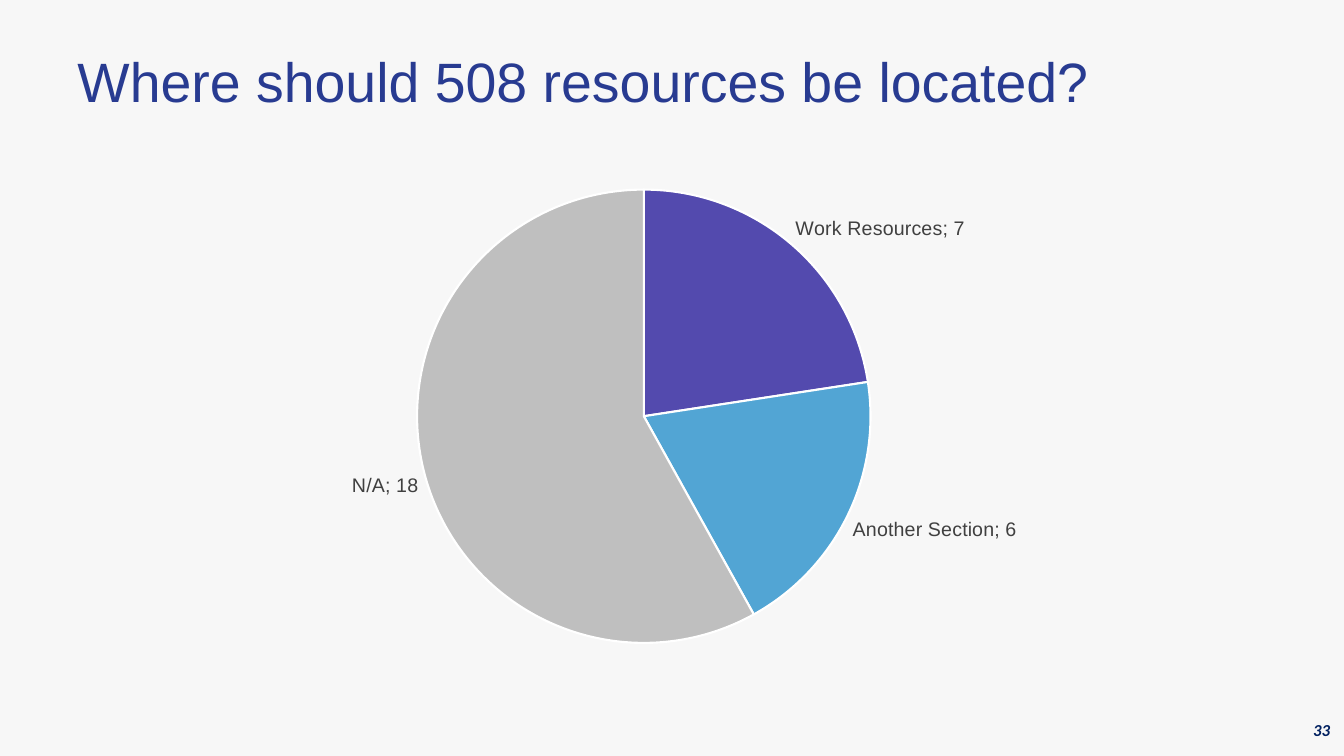
from lxml import etree
from pptx import Presentation
from pptx.chart.data import CategoryChartData
from pptx.dml.color import RGBColor
from pptx.enum.chart import XL_CHART_TYPE, XL_LABEL_POSITION
from pptx.enum.text import MSO_ANCHOR, PP_ALIGN
from pptx.oxml import parse_xml
from pptx.oxml.ns import nsdecls, qn
from pptx.util import Inches, Pt

TITLE = "Where should 508 resources be located?"
PAGE = "33"
BACKGROUND = RGBColor(0xF7, 0xF7, 0xF7)
TITLE_BLUE = RGBColor(0x28, 0x3B, 0x91)
NAVY = RGBColor(0x00, 0x20, 0x60)
LABEL_GRAY = RGBColor(0x40, 0x40, 0x40)
WHITE = RGBColor(0xFF, 0xFF, 0xFF)
ANSWERS = [
    ("Work Resources", 7, RGBColor(0x53, 0x4A, 0xAE)),
    ("Another Section", 6, RGBColor(0x52, 0xA5, 0xD4)),
    ("N/A", 18, RGBColor(0xBF, 0xBF, 0xBF)),
]
CHART_BOX = (2.13, 1.51, 8.65, 5.01)
PIE_BOX = (4.14, 1.88, 4.5, 4.5)


def add_text(s, box, text, font, size, color, anchor, align):
    tf = s.shapes.add_textbox(*map(Inches, box)).text_frame
    tf.word_wrap = True
    tf.vertical_anchor = anchor
    p = tf.paragraphs[0]
    p.text = text
    p.alignment = align
    p.font.name = font
    p.font.size = Pt(size)
    p.font.color.rgb = color
    return p


def place_pie(chart):
    left, top, width, height = CHART_BOX
    x, y, w, h = PIE_BOX
    parts = {"x": (x - left) / width, "y": (y - top) / height,
             "w": w / width, "h": h / height}
    modes = '<c:layoutTarget val="inner"/><c:xMode val="edge"/><c:yMode val="edge"/>'
    sizes = "".join(f'<c:{k} val="{v:.3f}"/>' for k, v in parts.items())
    layout = parse_xml(f'<c:layout {nsdecls("c")}><c:manualLayout>{modes}{sizes}'
                       '</c:manualLayout></c:layout>')
    area = chart.element.find(".//" + qn("c:plotArea"))
    for old in area.findall(qn("c:layout")):
        area.remove(old)
    area.insert(0, layout)


def add_pie(s):
    data = CategoryChartData()
    data.categories = [name for name, _, _ in ANSWERS]
    data.add_series("Series 1", [value for _, value, _ in ANSWERS])
    chart = s.shapes.add_chart(XL_CHART_TYPE.PIE, *map(Inches, CHART_BOX), data).chart
    chart.has_title = False
    chart.has_legend = False
    chart.font.name = "Arial"
    chart.font.size = Pt(14)
    series = chart.plots[0].series[0]
    for i, (_, _, color) in enumerate(ANSWERS):
        fmt = series.points[i].format
        fmt.fill.solid()
        fmt.fill.fore_color.rgb = color
        fmt.line.color.rgb = WHITE
        fmt.line.width = Pt(1.5)
    labels = series.data_labels
    labels.show_category_name = True
    labels.show_value = True
    labels.position = XL_LABEL_POSITION.OUTSIDE_END
    labels.font.name = "Arial"
    labels.font.size = Pt(14)
    labels.font.color.rgb = LABEL_GRAY
    separator = etree.Element(qn("c:separator"))
    separator.text = "; "
    chart.element.find(".//" + qn("c:ser")).find(
        qn("c:dLbls")).find(qn("c:showBubbleSize")).addnext(separator)
    place_pie(chart)


def main():
    prs = Presentation()
    prs.slide_width = Inches(13.33)
    prs.slide_height = Inches(7.5)
    s = prs.slides.add_slide(prs.slide_layouts[6])
    s.background.fill.solid()
    s.background.fill.fore_color.rgb = BACKGROUND
    add_text(s, (0.67, 0.17, 10.79, 1.25), TITLE, "Arial", 39.6, TITLE_BLUE,
             MSO_ANCHOR.MIDDLE, PP_ALIGN.LEFT)
    add_pie(s)
    p = add_text(s, (12.6, 7.09, 0.69, 0.4), PAGE, "Calibri", 12, NAVY,
                 MSO_ANCHOR.TOP, PP_ALIGN.RIGHT)
    p.font.bold = True
    p.font.italic = True
    prs.save("out.pptx")


if __name__ == "__main__":
    main()
